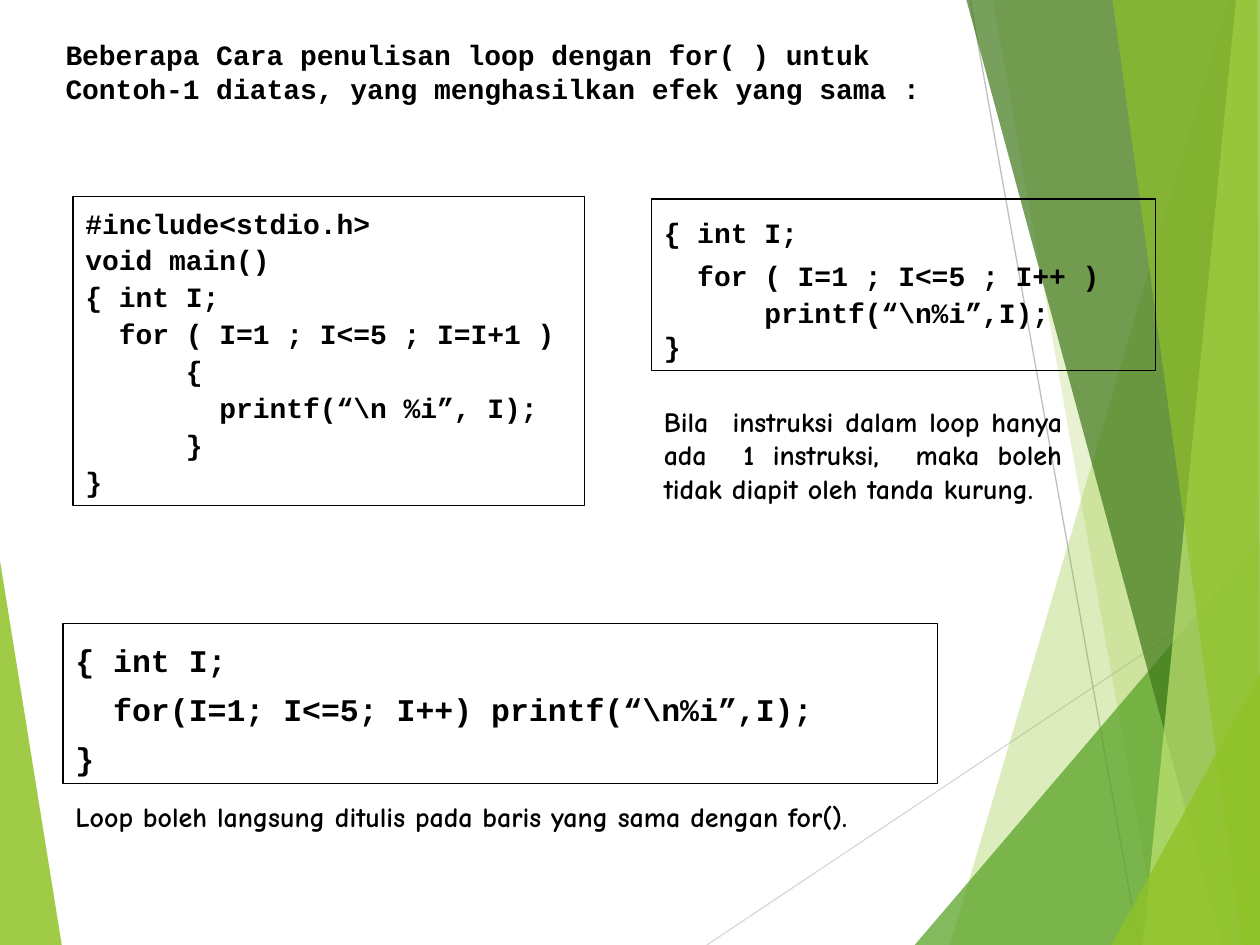
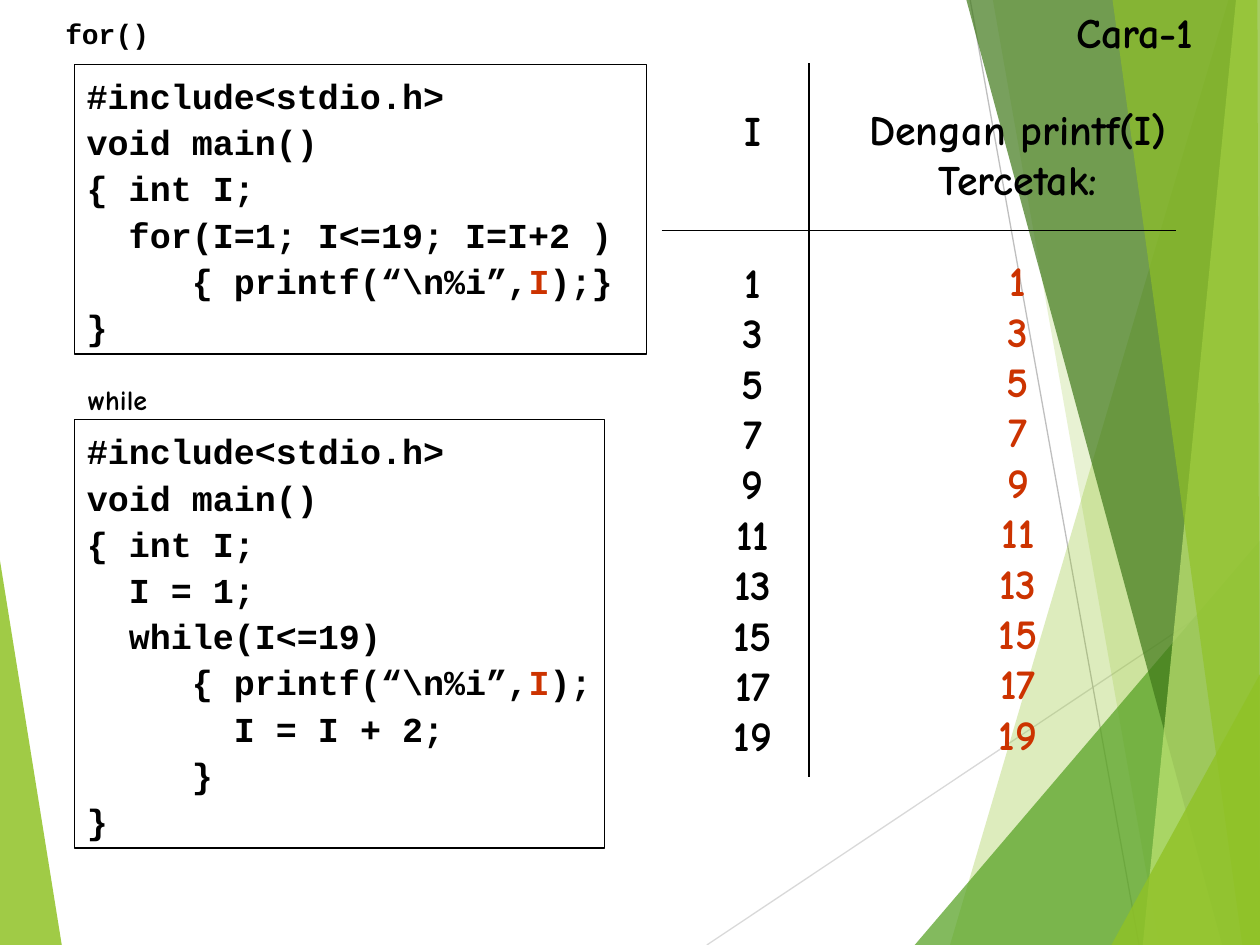
from pptx import Presentation
from pptx.dml.color import RGBColor
from pptx.enum.shapes import MSO_CONNECTOR, MSO_SHAPE
from pptx.enum.text import MSO_ANCHOR, MSO_AUTO_SIZE, PP_ALIGN
from pptx.oxml.ns import qn
from pptx.util import Inches, Pt
from lxml import etree

LEFT, CENTER, JUSTIFY = PP_ALIGN.LEFT, PP_ALIGN.CENTER, PP_ALIGN.JUSTIFY
RECTANGLE, STRAIGHT = MSO_SHAPE.RECTANGLE, MSO_CONNECTOR.STRAIGHT
TOP, GROW = MSO_ANCHOR.TOP, MSO_AUTO_SIZE.SHAPE_TO_FIT_TEXT
CODE_FONT, NOTE_FONT = "Courier New", "Comic Neue"
BLACK, RED = "000000", "CC3300"
color = RGBColor.from_string

# Shared background: thin lines, then translucent facets (colour, opacity, corners)
BACKGROUND_LINES = [
    (5.61, 7.5, 10, 4.57, "D9D9D9"),
    (7.7, 0, 9.04, 7.5, "BFBFBF"),
]
FACETS = [
    ("90C226", 85, [(0, 4.45), (0.49, 7.5), (0, 7.5)]),
    ("90C226", 30, [(9.75, 0), (7.54, 7.5), (10, 7.5), (10, 0)]),
    ("90C226", 20, [(7.88, 0), (9.2, 7.5), (10, 7.5), (10, 0)]),
    ("54A021", 72, [(7.26, 7.5), (10, 4.29), (10, 7.5)]),
    ("3F7819", 70, [(7.67, 0), (9.7, 7.5), (10, 7.5), (10, 0)]),
    ("C0E474", 70, [(9.81, 0), (9.07, 7.5), (10, 7.5), (10, 0)]),
    ("90C226", 65, [(8.83, 0), (9.86, 7.5), (10, 7.5), (9.98, 0)]),
    ("90C226", 80, [(8.82, 7.5), (10, 5.35), (10, 7.5)]),
]


def add_line(slide, x1, y1, x2, y2, line_color):
    line = slide.shapes.add_connector(
        STRAIGHT, Inches(x1), Inches(y1), Inches(x2), Inches(y2))
    line.line.color.rgb = color(line_color)
    line.line.width = Pt(0.75)
    etree.SubElement(line._element.spPr, qn("a:effectLst"))


def write_text(shape, lines, size, font, align=LEFT, spacing=(), wrap=True):
    """Write one paragraph per line; text between bars is red."""
    text_frame = shape.text_frame
    text_frame.word_wrap = wrap
    text_frame.vertical_anchor = TOP
    text_frame.auto_size = GROW
    for index, line in enumerate(lines):
        paragraph = text_frame.paragraphs[0] if index == 0 else text_frame.add_paragraph()
        paragraph.alignment = align
        if spacing:
            paragraph.line_spacing = spacing[index]
        for part, text in enumerate(line.split("|")):
            if text:
                run = paragraph.add_run()
                run.text = text
                run.font.size = Pt(size)
                run.font.name = font
                run.font.bold = True
                run.font.color.rgb = color(RED if part % 2 else BLACK)


presentation = Presentation()
presentation.slide_width = Inches(10)
presentation.slide_height = Inches(7.5)

# Slide contents: title (place, text, size, font), code boxes, notes
loop_title = ((0.42, 0.25, 7.69, 0.64),
              "Beberapa Cara penulisan loop dengan for( ) untuk Contoh-1 diatas, "
              "yang menghasilkan efek yang sama :", 16, CODE_FONT)
loop_codes = [
    ((0.58, 1.56, 4.06, 2.45), 16, [1.1] * 8, [
        "#include<stdio.h>",
        "void main()",
        "{ int I;",
        "  for ( I=1 ; I<=5 ; I=I+1 )",
        "      {",
        "        printf(“\\n %i”, I);",
        "      }",
        "}"]),
    ((5.17, 1.58, 4, 1.36), 16, [1.3, 1.3, 1.1, 1.0], [
        "{ int I;",
        "  for ( I=1 ; I<=5 ; I++ )",
        "      printf(“\\n%i”,I);",
        "}"]),
    ((0.5, 4.95, 6.94, 1.27), 18, [1.3] * 3, [
        "{ int I;",
        "  for(I=1; I<=5; I++) printf(“\\n%i”,I);",
        "}"]),
]
loop_notes = [
    ((5.17, 3.16, 3.36, 0.9), NOTE_FONT, JUSTIFY,
     "Bila  instruksi dalam loop hanya ada  1 instruksi,  maka boleh "
     "tidak diapit oleh tanda kurung."),
    ((0.5, 6.3, 7, 0.37), NOTE_FONT, JUSTIFY,
     "Loop boleh langsung ditulis pada baris yang sama dengan for()."),
]

trace_title = ((8.44, 0, 1.14, 0.5), "Cara-1", 24, NOTE_FONT)
trace_codes = [
    ((0.59, 0.51, 4.54, 2.3), 20, [1.1] * 6, [
        "#include<stdio.h>",
        "void main()",
        "{ int I;",
        "  for(I=1; I<=19; I=I+2 )",
        "     { printf(“\\n%i”,|I|);}",
        "}"]),
    ((0.59, 3.33, 4.21, 3.4), 20, [1.1] * 9, [
        "#include<stdio.h>",
        "void main()",
        "{ int I;",
        "  I = 1;",
        "  while(I<=19)",
        "     { printf(“\\n%i”,|I|);",
        "       I = I + 2;",
        "     }",
        "}"]),
]
trace_notes = [
    ((0.42, 0.08, 1, 0.37), CODE_FONT, LEFT, "for()"),
    ((0.6, 2.99, 0.8, 0.37), NOTE_FONT, LEFT, "while"),
]

# Build both slides
for heading, codes, notes, wrap in [
        (loop_title, loop_codes, loop_notes, True),
        (trace_title, trace_codes, trace_notes, False)]:
    slide = presentation.slides.add_slide(presentation.slide_layouts[5])

    # Background
    for line in BACKGROUND_LINES:
        add_line(slide, *line)
    for fill_color, opacity, corners in FACETS:
        points = [(Inches(x), Inches(y)) for x, y in corners]
        builder = slide.shapes.build_freeform(*points[0], scale=1.0)
        builder.add_line_segments(points[1:], close=True)
        facet = builder.convert_to_shape()
        facet.shadow.inherit = False
        facet.fill.solid()
        facet.fill.fore_color.rgb = color(fill_color)
        facet.line.fill.background()
        fill = facet._element.spPr.find(qn("a:solidFill"))
        etree.SubElement(fill[0], qn("a:alpha"), val=str(opacity * 1000))

    # Title, brought in front of the background
    place, text, size, font = heading
    title = slide.shapes.title
    title.left, title.top, title.width, title.height = map(Inches, place)
    write_text(title, [text], size, font, wrap=wrap)
    slide.shapes._spTree.append(title._element)

    # Code boxes
    for place, size, spacing, lines in codes:
        code_box = slide.shapes.add_shape(RECTANGLE, *map(Inches, place))
        code_box.shadow.inherit = False
        code_box.fill.background()
        code_box.line.color.rgb = color(BLACK)
        code_box.line.width = Pt(0.75)
        write_text(code_box, lines, size, CODE_FONT, spacing=spacing, wrap=wrap)

    # Notes, in boxes wide enough for their text to wrap only where it should
    for place, font, align, text in notes:
        note = slide.shapes.add_textbox(*map(Inches, place))
        write_text(note, [text], 16, font, align)

# Trace columns on the last slide: header, gap, then the odd numbers
numbers = [str(number) for number in range(1, 20, 2)]
for place, header, values, gap in [
        ((5.72, 0.78, 0.51, 5.3), ["I"], numbers, 58),
        ((6.8, 0.77, 2.56, 5.3), ["Dengan printf(I)", "Tercetak:"],
         [f"|{number}|" for number in numbers], 29)]:
    column = slide.shapes.add_textbox(*map(Inches, place))
    write_text(column, header + values, 24, NOTE_FONT, CENTER, wrap=False)
    column.text_frame.paragraphs[len(header)].space_before = Pt(gap)
add_line(slide, 5.25, 1.83, 9.33, 1.83, BLACK)
add_line(slide, 6.42, 0.5, 6.42, 6.17, BLACK)

presentation.save("out.pptx")
